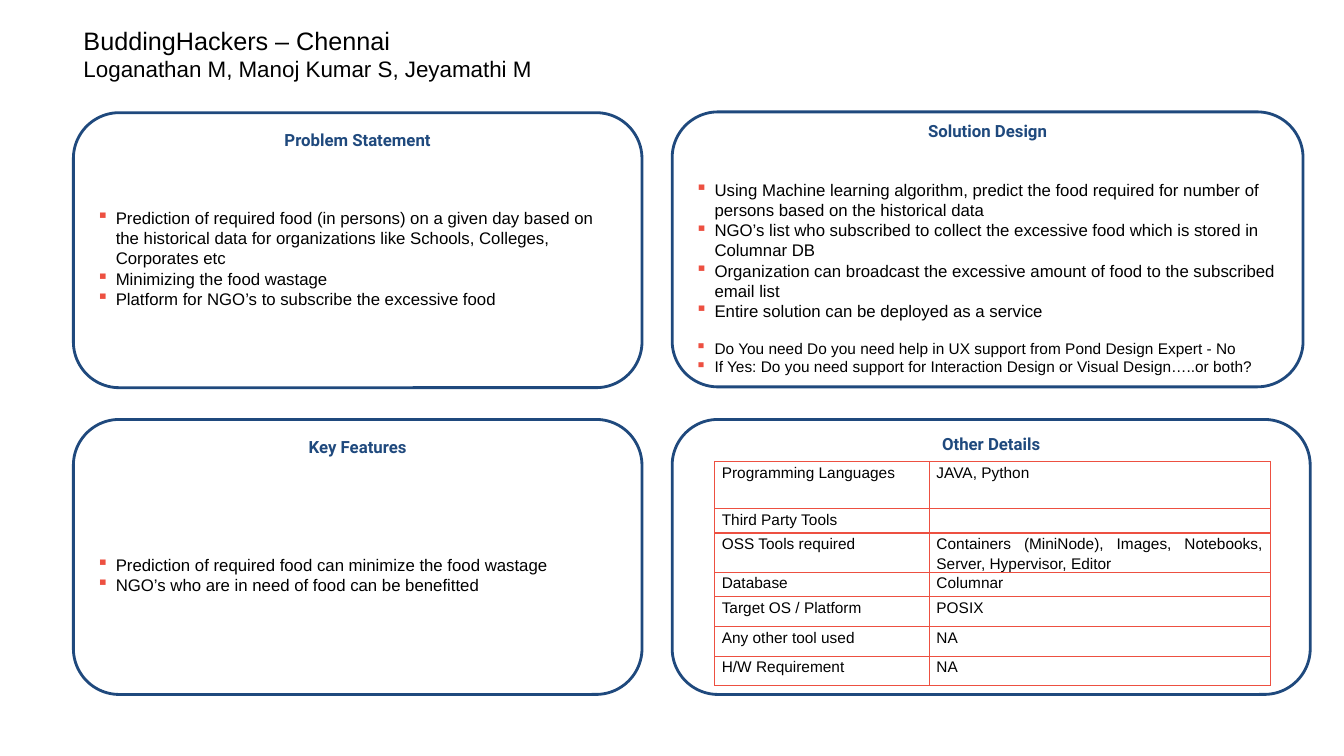
import pptx
import pptx.dml.color
import pptx.enum.shapes
import pptx.enum.text
import pptx.oxml
import pptx.oxml.ns
import pptx.util
from lxml import etree

Cm = pptx.util.Cm
Pt = pptx.util.Pt
ALIGN = pptx.enum.text.PP_ALIGN
ANCHOR = pptx.enum.text.MSO_ANCHOR
NAVY = pptx.dml.color.RGBColor(0x1F, 0x49, 0x7D)
RED = pptx.dml.color.RGBColor(0xED, 0x50, 0x41)
BLACK = pptx.dml.color.RGBColor(0, 0, 0)
WHITE = pptx.dml.color.RGBColor(0xFF, 0xFF, 0xFF)


def add_rounded(slide, left, top, width, height):
    """Add a shadowless rounded rectangle, measured in centimetres."""
    shape = slide.shapes.add_shape(
        pptx.enum.shapes.MSO_SHAPE.ROUNDED_RECTANGLE,
        Cm(left), Cm(top), Cm(width), Cm(height))
    shape.shadow.inherit = False
    shape.text_frame.word_wrap = True
    return shape


def format_paragraph(paragraph, size, color=BLACK, font="Arial", align=ALIGN.LEFT):
    """Set the font and alignment of a whole paragraph."""
    paragraph.font.size = Pt(size)
    paragraph.font.name = font
    paragraph.font.color.rgb = color
    paragraph.alignment = align


presentation = pptx.Presentation()
presentation.slide_width = Cm(33.87)
presentation.slide_height = Cm(19.05)
slide = presentation.slides.add_slide(presentation.slide_layouts[5])

# Title with the team members below
title = slide.shapes.title
title.left, title.top, title.width, title.height = Cm(1.85), Cm(0.51), Cm(21.36), Cm(2.03)
title.text_frame.text = "BuddingHackers – Chennai\nLoganathan M, Manoj Kumar S, Jeyamathi M"
title.text_frame.vertical_anchor = ANCHOR.TOP
for paragraph, size in zip(title.text_frame.paragraphs, (18, 16)):
    format_paragraph(paragraph, size)

# Panels: heading, panel box, heading box, top inset, bullets as (text, size, space before)
PANEL_HEIGHT = 6.93
HEADING_HEIGHT = 0.89
panels = [
    ("Other Details", (16.94, 10.57, 16.08), (19, 10.74, 11.96), 0, []),
    ("Key Features", (1.85, 10.57, 14.33), (3.68, 10.82, 10.67), 3.07, [
        ("Prediction of required food can minimize the food wastage", 12, 0),
        ("NGO’s who are in need of food can be benefitted", 12, 0)]),
    ("Solution Design", (16.94, 2.82, 15.9), (18.97, 2.84, 11.84), 1.37, [
        ("Using Machine learning algorithm, predict the food required for number of "
         "persons based on the historical data", 12, 0),
        ("NGO’s list who subscribed to collect the excessive food which is stored in "
         "Columnar DB", 12, 0),
        ("Organization can broadcast the excessive amount of food to the subscribed "
         "email list", 12, 0),
        ("Entire solution can be deployed as a service", 12, 0),
        ("Do You need Do you need help in UX support from Pond Design Expert - No", 11, 13),
        ("If Yes: Do you need support for Interaction Design or Visual Design…..or both?",
         11, 0)]),
    ("Problem Statement", (1.85, 2.84, 14.33), (3.68, 3.07, 10.67), 2.06, [
        ("Prediction of required food (in persons) on a given day based on the historical "
         "data for organizations like Schools, Colleges, Corporates etc", 12, 0),
        ("Minimizing the food wastage", 12, 0),
        ("Platform for NGO’s to subscribe the excessive food", 12, 0)]),
]
for heading, panel_box, heading_box, top_inset, bullets in panels:
    panel = add_rounded(slide, *panel_box, PANEL_HEIGHT)
    panel.fill.solid()
    panel.fill.fore_color.rgb = WHITE
    panel.line.color.rgb = NAVY
    panel.line.width = Pt(2)
    frame = panel.text_frame
    frame.vertical_anchor = ANCHOR.TOP
    frame.margin_top = Cm(top_inset)
    for index, (text, size, space_before) in enumerate(bullets):
        paragraph = frame.add_paragraph() if index else frame.paragraphs[0]
        paragraph.text = text
        paragraph.space_before = Pt(space_before)
        format_paragraph(paragraph, size)
        properties = paragraph._p.get_or_add_pPr()
        properties.set("marL", str(Cm(0.48)))
        properties.set("indent", str(Cm(-0.48)))
        bullet_color = pptx.oxml.parse_xml(
            f'<a:buClr {pptx.oxml.ns.nsdecls("a")}><a:srgbClr val="{RED}"/></a:buClr>')
        bullet = pptx.oxml.parse_xml(f'<a:buChar {pptx.oxml.ns.nsdecls("a")} char="▪"/>')
        default_font = properties.find(pptx.oxml.ns.qn("a:defRPr"))
        default_font.addprevious(bullet_color)
        default_font.addprevious(bullet)

    label = add_rounded(slide, *heading_box, HEADING_HEIGHT)
    label.fill.background()
    label.line.fill.background()
    label.text_frame.vertical_anchor = ANCHOR.MIDDLE
    label.text_frame.text = heading
    paragraph = label.text_frame.paragraphs[0]
    format_paragraph(paragraph, 12, NAVY, "Roboto", ALIGN.CENTER)
    paragraph.font.bold = True

# Details table: label, value, row height
details = [
    ("Programming Languages", "JAVA, Python", 1.19),
    ("Third Party Tools", "", 0.61),
    ("OSS Tools required",
     "Containers (MiniNode), Images, Notebooks, Server, Hypervisor, Editor", 0.99),
    ("Database", "Columnar", 0.61),
    ("Target OS / Platform", "POSIX", 0.76),
    ("Any other tool used", "NA", 0.74),
    ("H/W Requirement", "NA", 0.74),
]
column_widths = (5.41, 8.59)
table = slide.shapes.add_table(
    len(details), 2, Cm(18.01), Cm(11.63), Cm(sum(column_widths)),
    Cm(sum(height for *_, height in details))).table
table.first_row = False
table.horz_banding = False
for column, width in zip(table.columns, column_widths):
    column.width = Cm(width)
for row, (*texts, height) in zip(table.rows, details):
    row.height = Cm(height)
    for cell, text, align in zip(row.cells, texts, (ALIGN.LEFT, ALIGN.JUSTIFY)):
        cell.margin_left = cell.margin_right = Cm(0.18)
        cell.margin_top = cell.margin_bottom = 0
        cell.text = text
        paragraph = cell.text_frame.paragraphs[0]
        format_paragraph(paragraph, 11, align=align)
        paragraph.line_spacing = 1.15
        if not text:
            paragraph._p.get_or_add_endParaRPr().set("sz", "1100")
        cell_properties = cell._tc.get_or_add_tcPr()
        for side in ("lnL", "lnR", "lnT", "lnB"):
            border = etree.SubElement(
                cell_properties, pptx.oxml.ns.qn(f"a:{side}"), w=str(Pt(1)))
            fill = etree.SubElement(border, pptx.oxml.ns.qn("a:solidFill"))
            etree.SubElement(fill, pptx.oxml.ns.qn("a:srgbClr"), val=str(RED))
        cell.fill.background()

presentation.save("out.pptx")
